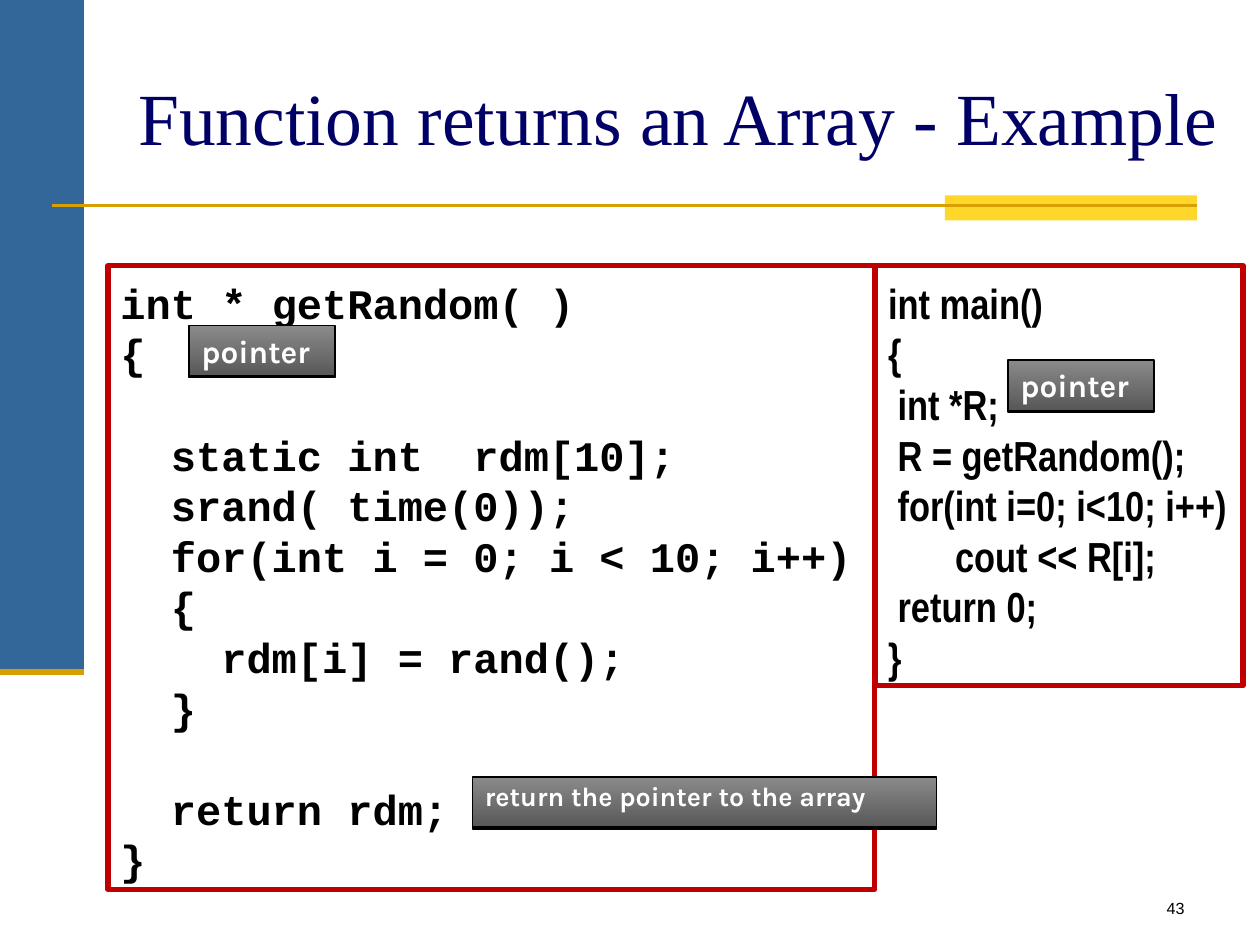
import pptx
import pptx.dml.color
import pptx.enum.shapes
import pptx.enum.text
import pptx.oxml
import pptx.oxml.ns
import pptx.util
from lxml import etree

RGBColor = pptx.dml.color.RGBColor
Pt = pptx.util.Pt
Align = pptx.enum.text.PP_ALIGN
Anchor = pptx.enum.text.MSO_ANCHOR

BLUE = RGBColor(0x33, 0x66, 0x99)
NAVY = RGBColor(0x00, 0x00, 0x66)
YELLOW = RGBColor(0xFF, 0xD7, 0x2B)
GOLD = RGBColor(0xD8, 0x9F, 0x00)
RED = RGBColor(0xC0, 0x00, 0x00)
LIGHT_GREY = RGBColor(0x8A, 0x8A, 0x8A)
DARK_GREY = RGBColor(0x58, 0x58, 0x58)
BLACK = RGBColor(0x00, 0x00, 0x00)
WHITE = RGBColor(0xFF, 0xFF, 0xFF)

UNIT = pptx.util.Inches(1) / 12  # the slide is a grid of 120 columns by 90 rows
CODE_PITCH = Pt(28.9)
LABEL_SHADOW = (
    '<a:effectLst %s><a:outerShdw dist="12700" dir="5400000" rotWithShape="0">'
    '<a:srgbClr val="000000"/></a:outerShdw></a:effectLst>' % pptx.oxml.ns.nsdecls("a")
)

# Each code line: indent in characters, text, and whether a gap comes before it
RANDOM_CODE = [
    (0, "int * getRandom( )", False),
    (0, "{", False),
    (2, "static int  rdm[10];", True),
    (2, "srand( time(0));", False),
    (2, "for(int i = 0; i < 10; i++)", False),
    (2, "{", False),
    (4, "rdm[i] = rand();", False),
    (2, "}", False),
    (2, "return rdm;", True),
    (0, "}", False),
]
MAIN_CODE = [
    (0, "int main()", False),
    (0, "{", False),
    (1, "int *R;", False),
    (1, "R = getRandom();", False),
    (1, "for(int i=0; i<10; i++)", False),
    (7, "cout << R[i];", False),
    (1, "return 0;", False),
    (0, "}", False),
]


def grid(*counts):
    """Turn grid counts into slide lengths."""
    return [round(count * UNIT) for count in counts]


def write(paragraph, text, *, size, font, color, bold=False, align=Align.LEFT,
          spacing=None, before=0, indent=0):
    run = paragraph.add_run()
    run.text = text
    run.font.size = Pt(size)
    run.font.name = font
    run.font.bold = bold
    run.font.color.rgb = color
    paragraph.alignment = align
    paragraph.space_before = before
    if spacing:
        paragraph.line_spacing = spacing
    if indent:
        properties = paragraph._p.get_or_add_pPr()
        properties.set("marL", str(round(indent)))
        properties.set("indent", "0")


class LectureSlide:
    def __init__(self, deck):
        self.slide = deck.slides.add_slide(deck.slide_layouts[6])
        self.shapes = self.slide.shapes

    def box(self, place, fill=None, line=None, width=0):
        shape = self.shapes.add_shape(pptx.enum.shapes.MSO_SHAPE.RECTANGLE, *grid(*place))
        shape.shadow.inherit = False
        if fill is not None:
            shape.fill.solid()
            shape.fill.fore_color.rgb = fill
        if line is None:
            shape.line.fill.background()
        else:
            shape.line.color.rgb = line
            shape.line.width = Pt(width)
        shape.text_frame.vertical_anchor = Anchor.TOP
        shape.text_frame.word_wrap = False
        return shape

    def rule(self, ends, width):
        connector = self.shapes.add_connector(
            pptx.enum.shapes.MSO_CONNECTOR.STRAIGHT, *grid(*ends))
        connector.line.color.rgb = GOLD
        connector.line.width = Pt(width)
        etree.SubElement(connector._element.spPr, pptx.oxml.ns.qn("a:effectLst"))

    def text(self, place, text, anchor=Anchor.TOP, **style):
        frame = self.shapes.add_textbox(*grid(*place)).text_frame
        frame.word_wrap = True
        frame.vertical_anchor = anchor
        write(frame.paragraphs[0], text, **style)

    def code(self, place, lines, font, character):
        """Draw a listing; character is the width of one indent space in points."""
        frame = self.box(place, WHITE, RED, 3.15).text_frame
        frame.margin_top = pptx.util.Inches(0.09)
        for number, (indent, text, gap) in enumerate(lines):
            paragraph = frame.add_paragraph() if number else frame.paragraphs[0]
            write(paragraph, text, size=24, font=font, color=BLACK, bold=True,
                  spacing=CODE_PITCH, before=CODE_PITCH if gap else 0,
                  indent=indent * Pt(character))

    def label(self, left, top, width, text, size=18, spacing=None):
        shape = self.box((left, top, width, 4.8), line=BLACK, width=0.91)
        shape.fill.gradient()
        shape.fill.gradient_angle = 270
        for stop, color in zip(shape.fill.gradient_stops, (LIGHT_GREY, DARK_GREY)):
            stop.color.rgb = color
        properties = shape._element.spPr
        properties.replace(properties.find(pptx.oxml.ns.qn("a:effectLst")),
                           pptx.oxml.parse_xml(LABEL_SHADOW))
        write(shape.text_frame.paragraphs[0], text, size=size, font="Karla",
              color=WHITE, bold=True, spacing=spacing)


def main():
    deck = pptx.Presentation()
    deck.slide_width, deck.slide_height = grid(120, 90)
    page = LectureSlide(deck)

    page.box((0, 0, 8, 64), BLUE)
    page.box((90, 18.6, 24, 2.4), YELLOW)
    page.rule((5, 19.6, 114, 19.6), 1.5)
    page.rule((0, 64, 8, 64), 3.5)

    page.code((10.3, 25.3, 73, 59.4), RANDOM_CODE, "Courier New", 14.4)
    page.code((83.4, 25.3, 35, 40), MAIN_CODE, "Arial Narrow", 5.47)
    page.label(18, 31, 13.9, "pointer")
    page.label(96, 34.3, 13.9, "pointer")
    page.label(45, 74, 44.2, "return the pointer to the array", size=15.3, spacing=0.9)

    page.text((12, 3.6, 106.3, 15), "Function returns an Array - Example",
              anchor=Anchor.MIDDLE, size=42, font="Times New Roman", color=NAVY)
    page.text((89, 85, 25, 3), "43", size=9.2, font="Arial", color=BLACK,
              align=Align.RIGHT)
    deck.save("out.pptx")


if __name__ == "__main__":
    main()
